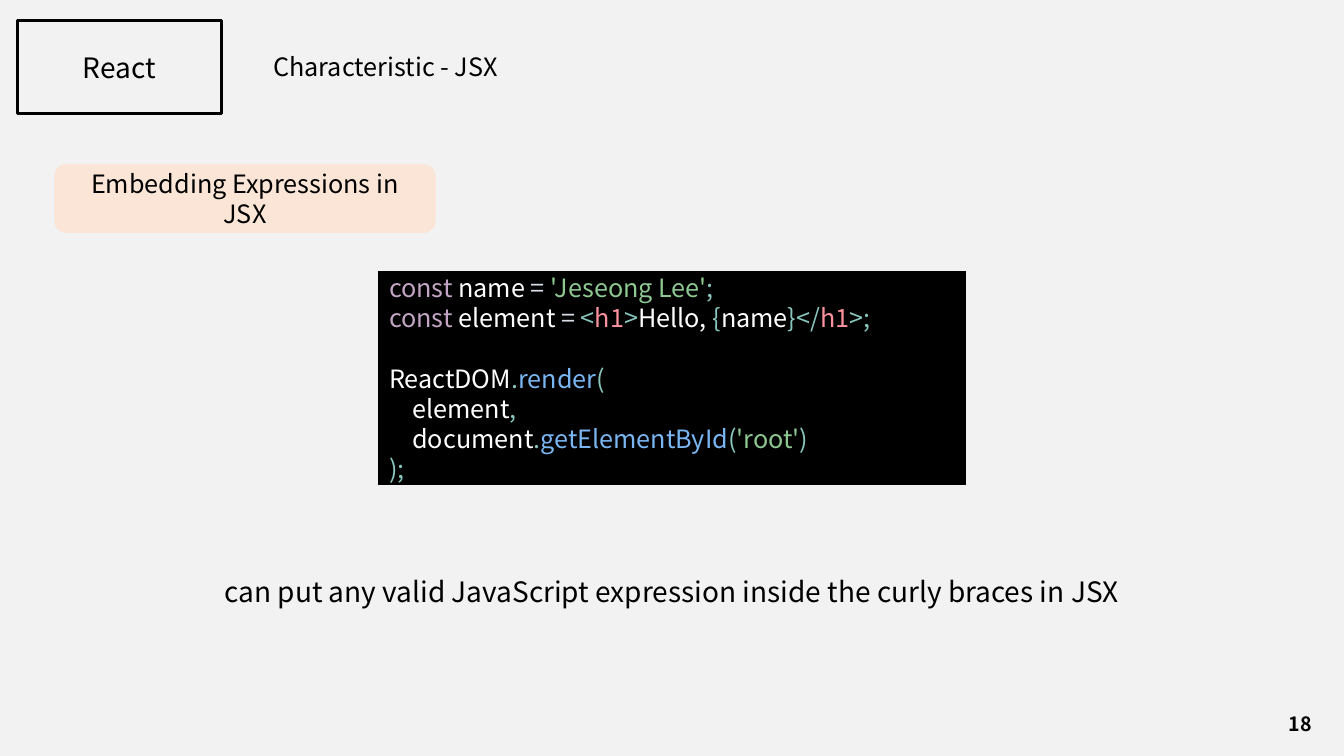
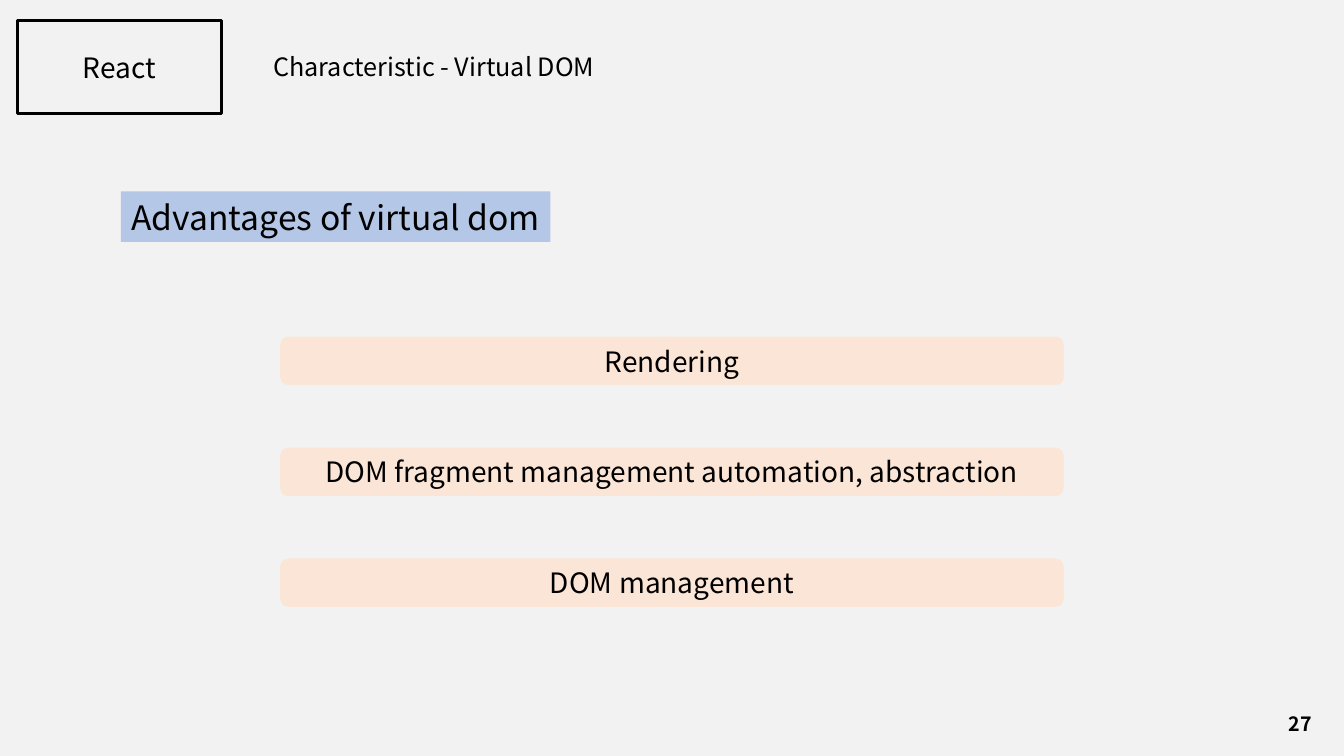
from pptx import Presentation
from pptx import util as u
from pptx.dml.color import RGBColor
from pptx.enum import shapes, text

FONT = "Noto Sans CJK KR"
COLOURS = {
    "background": "F2F2F2",
    "black": "000000",
    "white": "FFFFFF",
    "peach": "FBE5D6",
    "blue": "B4C7E7",
    "keyword": "C5A5C5",
    "operator": "D7DEEA",
    "string": "8DC891",
    "mark": "88C6BE",
    "tag": "FC929E",
    "function": "79B6F2",
}
RECTANGLE = shapes.MSO_SHAPE.RECTANGLE
ROUNDED = shapes.MSO_SHAPE.ROUNDED_RECTANGLE
LEFT, CENTER = text.PP_ALIGN.LEFT, text.PP_ALIGN.CENTER
CODE_INDENT, CODE_STEP, CODE_BLANK_LINE = 0.11, 0.23, 21.5

# Each line of code: indent level, blank line above, coloured pieces
CODE = [
    (0, False, [("const", "keyword"), (" name ", "white"), ("= ", "operator"),
                ("'Jeseong Lee'", "string"), (";", "mark")]),
    (0, False, [("const", "keyword"), (" element ", "white"), ("= ", "operator"),
                ("<", "mark"), ("h1", "tag"), (">", "mark"), ("Hello, ", "white"),
                ("{", "mark"), ("name", "white"), ("}</", "mark"), ("h1", "tag"),
                (">;", "mark")]),
    (0, True, [("ReactDOM", "white"), (".", "mark"), ("render", "function"),
               ("(", "mark")]),
    (1, False, [("element", "white"), (",", "mark")]),
    (1, False, [("document", "white"), (".", "mark"), ("getElementById", "function"),
                ("(", "mark"), ("'root'", "string"), (")", "mark")]),
    (0, False, [(");", "mark")]),
]


def colour(name):
    return RGBColor.from_string(COLOURS[name])


class Deck:
    def __init__(self):
        self.presentation = Presentation()
        self.presentation.slide_width = u.Inches(13.33)
        self.presentation.slide_height = u.Inches(7.5)
        fill = self.presentation.slide_master.background.fill
        fill.solid()
        fill.fore_color.rgb = colour("background")
        self.slide = None

    def add_slide(self, title, number):
        """Start a slide with its topic box, title and page number."""
        layout = self.presentation.slide_layouts.get_by_name("Title Only")
        self.slide = self.presentation.slides.add_slide(layout)
        self.box("React", (0.17, 0.2, 2.03, 0.93), 20, line=True)
        heading = self.slide.shapes.title
        place = dict(zip(("left", "top", "width", "height"), (2.61, 0.46, 3.64, 0.4)))
        for name, value in place.items():
            setattr(heading, name, u.Inches(value))
        self.set_text(heading, title, 18, LEFT)
        self.label(number, (12.65, 6.98, 0.49, 0.4), 14, bold=True)

    def prepare(self, shape, **changes):
        """Give the text frame its shared settings and return it."""
        settings = {"word_wrap": True, "auto_size": text.MSO_AUTO_SIZE.NONE,
                    "vertical_anchor": text.MSO_ANCHOR.MIDDLE, **changes}
        for name, value in settings.items():
            setattr(shape.text_frame, name, value)
        return shape.text_frame

    def add_run(self, paragraph, content, size, ink="black", bold=False):
        run = paragraph.add_run()
        run.text = content
        for name, value in {"name": FONT, "size": u.Pt(size), "bold": bold}.items():
            setattr(run.font, name, value)
        run.font.color.rgb = colour(ink)

    def set_text(self, shape, content, size, alignment=CENTER, bold=False):
        paragraph = self.prepare(shape).paragraphs[0]
        paragraph.alignment = alignment
        self.add_run(paragraph, content, size, bold=bold)

    def label(self, content, place, size, bold=False):
        shape = self.slide.shapes.add_textbox(*map(u.Inches, place))
        self.set_text(shape, content, size, bold=bold)

    def panel(self, place, fill=None, kind=RECTANGLE, line=False):
        """Add a shape without text."""
        shape = self.slide.shapes.add_shape(kind, *map(u.Inches, place))
        shape.shadow.inherit = False
        if fill:
            shape.fill.solid()
            shape.fill.fore_color.rgb = colour(fill)
        else:
            shape.fill.background()
        if line:
            shape.line.color.rgb = colour("black")
            shape.line.width = u.Pt(2)
        else:
            shape.line.fill.background()
        return shape

    def box(self, content, place, size, **look):
        self.set_text(self.panel(place, **look), content, size)

    def code(self, lines, place, size):
        shape = self.panel(place, "black")
        frame = self.prepare(shape, margin_left=0, margin_right=0,
                             margin_top=0, margin_bottom=0)
        for index, (level, blank_above, pieces) in enumerate(lines):
            paragraph = frame.add_paragraph() if index else frame.paragraphs[0]
            paragraph.alignment = LEFT
            if blank_above:
                paragraph.space_before = u.Pt(CODE_BLANK_LINE)
            indent = u.Inches(CODE_INDENT + level * CODE_STEP)
            paragraph._p.get_or_add_pPr().set("marL", str(indent))
            for content, ink in pieces:
                self.add_run(paragraph, content, size, ink)


def build_expressions(deck):
    deck.add_slide("Characteristic - JSX", "18")
    deck.box("Embedding Expressions in JSX", (0.54, 1.63, 3.78, 0.68), 18,
             fill="peach", kind=ROUNDED)
    deck.code(CODE, (3.75, 2.69, 5.83, 2.12), 18)
    deck.label("can put any valid JavaScript expression inside the curly braces in JSX",
               (0.68, 5.65, 11.97, 0.44), 20)


def build_advantages(deck):
    deck.add_slide("Characteristic - Virtual DOM", "27")
    deck.box("Advantages of virtual dom", (1.2, 1.9, 4.26, 0.5), 24, fill="blue")
    advantages = ["Rendering", "DOM fragment management automation, abstraction",
                  "DOM management"]
    for index, advantage in enumerate(advantages):
        deck.box(advantage, (2.78, 3.34 + 1.1 * index, 7.77, 0.48), 20,
                 fill="peach", kind=ROUNDED)


def main():
    deck = Deck()
    build_expressions(deck)
    build_advantages(deck)
    deck.presentation.save("out.pptx")


if __name__ == "__main__":
    main()
